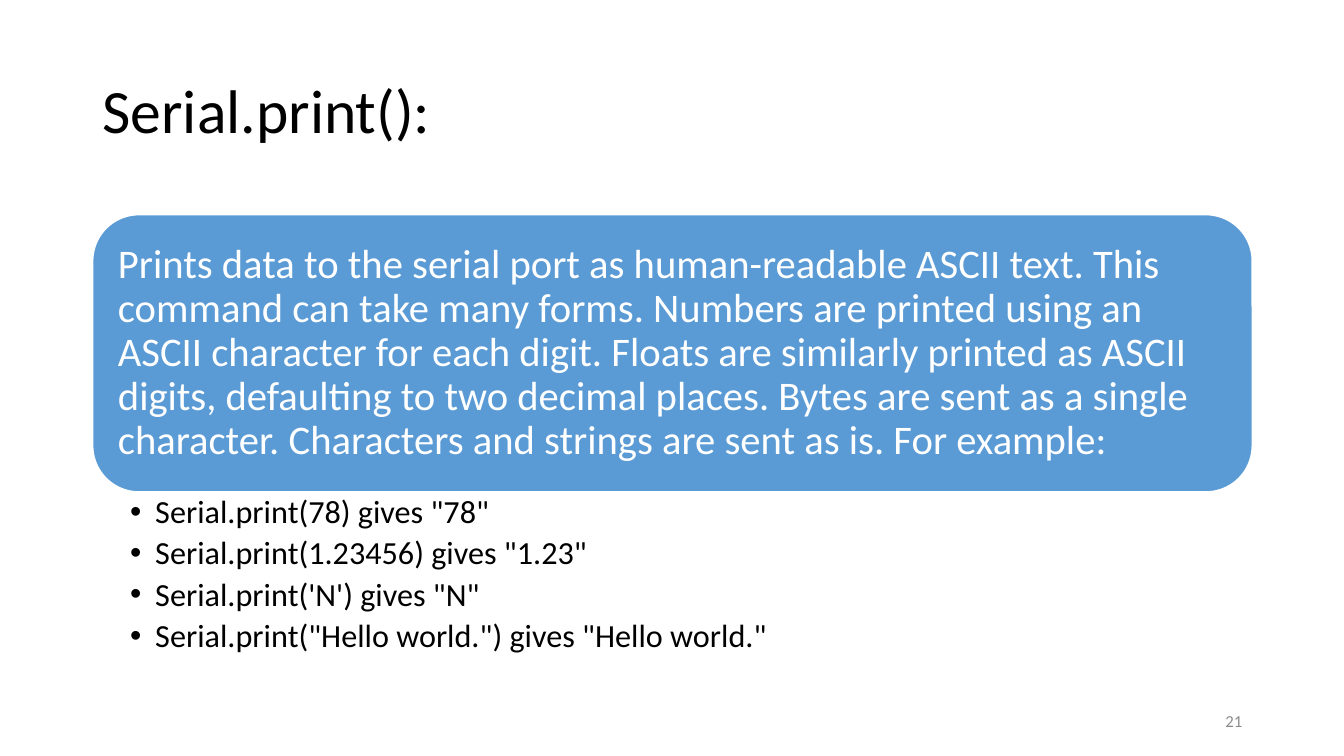
from lxml import etree
from pptx import Presentation
from pptx.dml.color import RGBColor
from pptx.enum.shapes import MSO_SHAPE
from pptx.enum.text import MSO_ANCHOR, PP_ALIGN
from pptx.oxml.ns import qn
from pptx.util import Emu, Pt

ROUNDED = MSO_SHAPE.ROUNDED_RECTANGLE
TOP, MIDDLE = MSO_ANCHOR.TOP, MSO_ANCHOR.MIDDLE
LEFT, RIGHT = PP_ALIGN.LEFT, PP_ALIGN.RIGHT

# Content
TITLE = "Serial.print():"
DESCRIPTION = (
    "Prints data to the serial port as human-readable ASCII text. "
    "This command can take many forms. Numbers are printed using an ASCII "
    "character for each digit. Floats are similarly printed as ASCII digits, "
    "defaulting to two decimal places. Bytes are sent as a single character. "
    "Characters and strings are sent as is. For example:"
)
EXAMPLES = [
    'Serial.print(78) gives "78"',
    'Serial.print(1.23456) gives "1.23"',
    "Serial.print('N') gives \"N\"",
    'Serial.print("Hello world.") gives "Hello world."',
]
PAGE_NUMBER = "21"

# Theme: colours and type sizes
THEME = {
    "font": "Calibri",
    "panel": "5B9BD5",
    "panel_line": "FFFFFF",
    "title": (44, "000000"),
    "description": (29, "FFFFFF"),
    "examples": (23, "000000"),
    "page_number": (12, "8C8C8C"),
}

# Layout in px, 100 px to the inch
EMU_PER_PX = 9144
SLIDE_WIDTH, SLIDE_HEIGHT = 1333, 750
MARGIN, CONTENT_WIDTH = 92, 1150
PANEL_TOP, PANEL_HEIGHT, PANEL_INSET = 213, 275, 13
PAGE_NUMBER_WIDTH = 300
BULLET_INDENT = 25


def px(length):
    return Emu(length * EMU_PER_PX)


def add_bullet(paragraph):
    properties = paragraph._p.get_or_add_pPr()
    properties.set("marL", str(px(BULLET_INDENT)))
    properties.set("indent", str(-px(BULLET_INDENT)))
    etree.SubElement(properties, qn("a:buFont"), typeface="Arial")
    etree.SubElement(properties, qn("a:buChar"), char="•")


def add_text(slide, box, lines, role, anchor=MIDDLE, insets=(10, 5, 10, 5),
             bulleted=False, **paragraph_format):
    frame = slide.shapes.add_textbox(*map(px, box)).text_frame
    frame.word_wrap = True
    frame.vertical_anchor = anchor
    for side, inset in zip(("left", "top", "right", "bottom"), insets):
        setattr(frame, f"margin_{side}", px(inset))
    size, color = THEME[role]
    for index, line in enumerate(lines):
        paragraph = frame.add_paragraph() if index else frame.paragraphs[0]
        for name, value in paragraph_format.items():
            setattr(paragraph, name, value)
        if bulleted:
            add_bullet(paragraph)
        run = paragraph.add_run()
        run.text = line
        for name, value in {"name": THEME["font"], "size": Pt(size)}.items():
            setattr(run.font, name, value)
        run.font.color.rgb = RGBColor.from_string(color)


def add_panel(slide, box):
    panel = slide.shapes.add_shape(ROUNDED, *map(px, box))
    panel.shadow.inherit = False
    panel.fill.solid()
    panel.fill.fore_color.rgb = RGBColor.from_string(THEME["panel"])
    panel.line.color.rgb = RGBColor.from_string(THEME["panel_line"])
    panel.line.width = Pt(1)


def main():
    presentation = Presentation()
    presentation.slide_width = px(SLIDE_WIDTH)
    presentation.slide_height = px(SLIDE_HEIGHT)
    slide = presentation.slides.add_slide(presentation.slide_layouts[6])

    # Title
    add_text(slide, (MARGIN, 40, CONTENT_WIDTH, 145), [TITLE], "title",
             alignment=LEFT, line_spacing=0.9)

    # Description panel
    add_panel(slide, (MARGIN, PANEL_TOP, CONTENT_WIDTH, PANEL_HEIGHT))
    description_box = (MARGIN + PANEL_INSET, PANEL_TOP + PANEL_INSET,
                       CONTENT_WIDTH - 2 * PANEL_INSET,
                       PANEL_HEIGHT - 2 * PANEL_INSET)
    add_text(slide, description_box, [DESCRIPTION], "description",
             insets=(12, 12, 12, 12), alignment=LEFT, line_spacing=0.9)

    # Examples directly below the panel
    examples_box = (MARGIN, PANEL_TOP + PANEL_HEIGHT, CONTENT_WIDTH, 174)
    add_text(slide, examples_box, EXAMPLES, "examples", anchor=TOP,
             insets=(37, 4, 23, 4), bulleted=True, level=1, alignment=LEFT,
             line_spacing=0.9, space_after=Pt(4.6))

    # Page number, flush with the right margin
    page_number_left = MARGIN + CONTENT_WIDTH - PAGE_NUMBER_WIDTH
    add_text(slide, (page_number_left, 695, PAGE_NUMBER_WIDTH, 40),
             [PAGE_NUMBER], "page_number", alignment=RIGHT)

    presentation.save("out.pptx")


if __name__ == "__main__":
    main()
